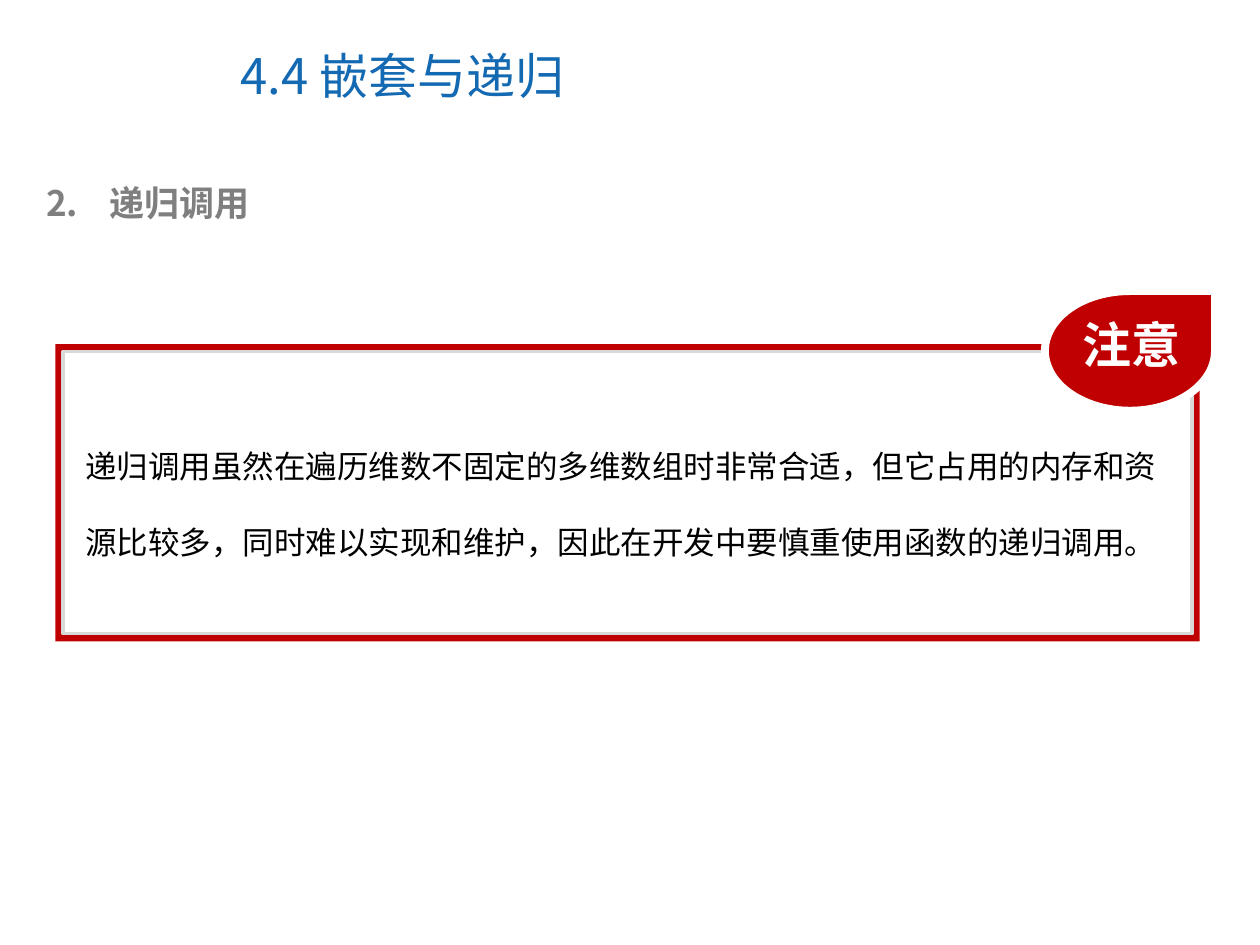
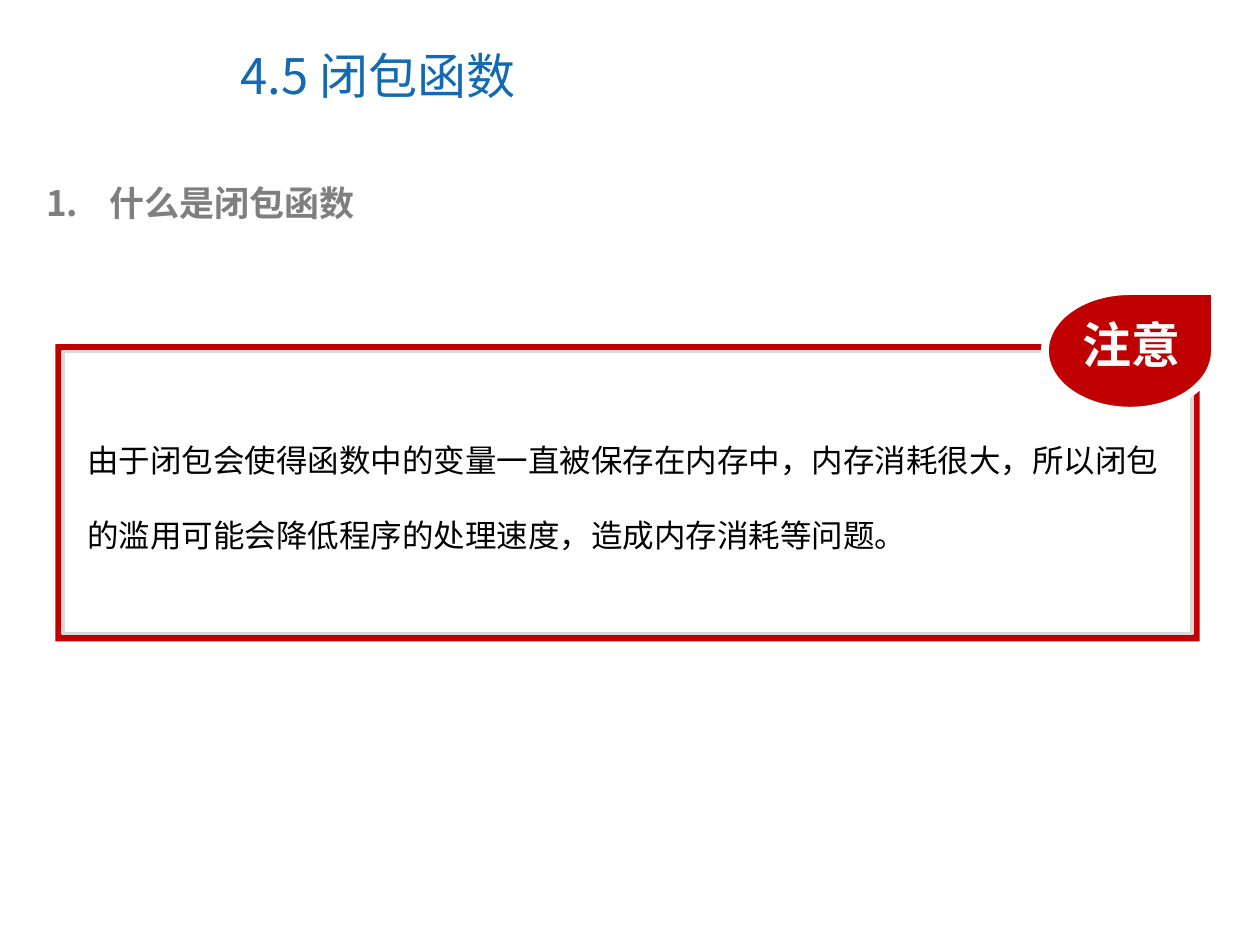
from dataclasses import dataclass
from lxml.etree import SubElement as Sub
from pptx import Presentation
from pptx.dml.color import RGBColor as RGB
from pptx.enum.shapes import MSO_SHAPE as Form
from pptx.enum.text import MSO_ANCHOR as Anchor
from pptx.oxml.ns import qn
from pptx.util import Pt


@dataclass(frozen=True)
class Theme:
    blue: str = "1369B2"
    gray: str = "7F7F7F"
    red: str = "C00000"
    pale: str = "D9D9D9"
    white: str = "FFFFFF"
    black: str = "000000"
    font: str = "Noto Sans CJK SC"
    plain: str = "Arial"
    big: int = 28
    head: int = 20
    body: int = 18


T = Theme()


def place(box):
    return [Pt(v) for v in box]


def number(para, start):
    props = para._p.get_or_add_pPr()
    props.set("marL", str(Pt(36)))
    props.set("indent", str(Pt(-36)))
    color = Sub(props, qn("a:buClr"))
    Sub(color, qn("a:srgbClr"), val=T.gray)
    Sub(props, qn("a:buFont"), typeface=T.font)
    Sub(props, qn("a:buAutoNum"), type="arabicPeriod", startAt=str(start))


def write(slide, box, text, size, color, bold=False, face=T.font,
          start=None, space=None, anchor=Anchor.TOP):
    frame = slide.shapes.add_textbox(*place(box)).text_frame
    frame.word_wrap = True
    frame.vertical_anchor = anchor
    para = frame.paragraphs[0]
    para.text = text
    if space:
        para.line_spacing = space
    if start:
        number(para, start)
    font = para.font
    font.size = Pt(size)
    font.bold = bold
    font.color.rgb = RGB.from_string(color)
    font.name = face
    Sub(para._p.pPr.find(qn("a:defRPr")), qn("a:ea"), typeface=T.font)


def shape(slide, form, box, fill, line=None, width=0):
    item = slide.shapes.add_shape(form, *place(box))
    item.shadow.inherit = False
    item.fill.solid()
    item.fill.fore_color.rgb = RGB.from_string(fill)
    if line:
        item.line.color.rgb = RGB.from_string(line)
        item.line.width = Pt(width)
    else:
        item.line.fill.background()


def header(slide, box, title, start, topic):
    x, y, w, h = box
    write(slide, (x + 111, y, 371.5, 61.2), title, T.big, T.blue,
          anchor=Anchor.MIDDLE)
    write(slide, (x, y + 87.9, w, 31.7), topic, T.head, T.gray,
          bold=True, start=start)


def badge(slide, box):
    x, y, w, h = box
    shape(slide, Form.TEAR, box, T.red, T.white, 4.5)
    write(slide, (x + 14.4, y + 9.7, w - 17.2, 41), "注意", T.big, T.white,
          bold=True)


def notice(slide, box, text, shift):
    x, y, w, h = box
    rim = 4.3
    shape(slide, Form.RECTANGLE, box, T.red)
    shape(slide, Form.RECTANGLE, (x + rim, y + rim, w - 2 * rim, h - 2 * rim),
          T.white, T.pale, 2)
    badge(slide, (x + w - 88.4, y - 30.3, 97.2, 68.4))
    dx, dy = shift
    write(slide, (x + dx, y + dy, 640.8, 93.6), text, T.body, T.black,
          face=T.plain, space=2)


PAGES = [
    ("4.4 嵌套与递归", 2, "递归调用",
     "递归调用虽然在遍历维数不固定的多维数组时非常合适，但它占用的内存和资源比较多，"
     "同时难以实现和维护，因此在开发中要慎重使用函数的递归调用。", (10, 33.8)),
    ("4.5 闭包函数", 1, "什么是闭包函数",
     "由于闭包会使得函数中的变量一直被保存在内存中，内存消耗很大，"
     "所以闭包的滥用可能会降低程序的处理速度，造成内存消耗等问题。", (11, 30.2)),
]


def main():
    deck = Presentation()
    deck.slide_width, deck.slide_height = Pt(720), Pt(540)
    for title, start, topic, text, shift in PAGES:
        slide = deck.slides.add_slide(deck.slide_layouts[6])
        header(slide, (19.4, 12.2, 663.8, 119.6), title, start, topic)
        notice(slide, (31.7, 196.6, 653.8, 169.9), text, shift)
    deck.save("out.pptx")


if __name__ == "__main__":
    main()
